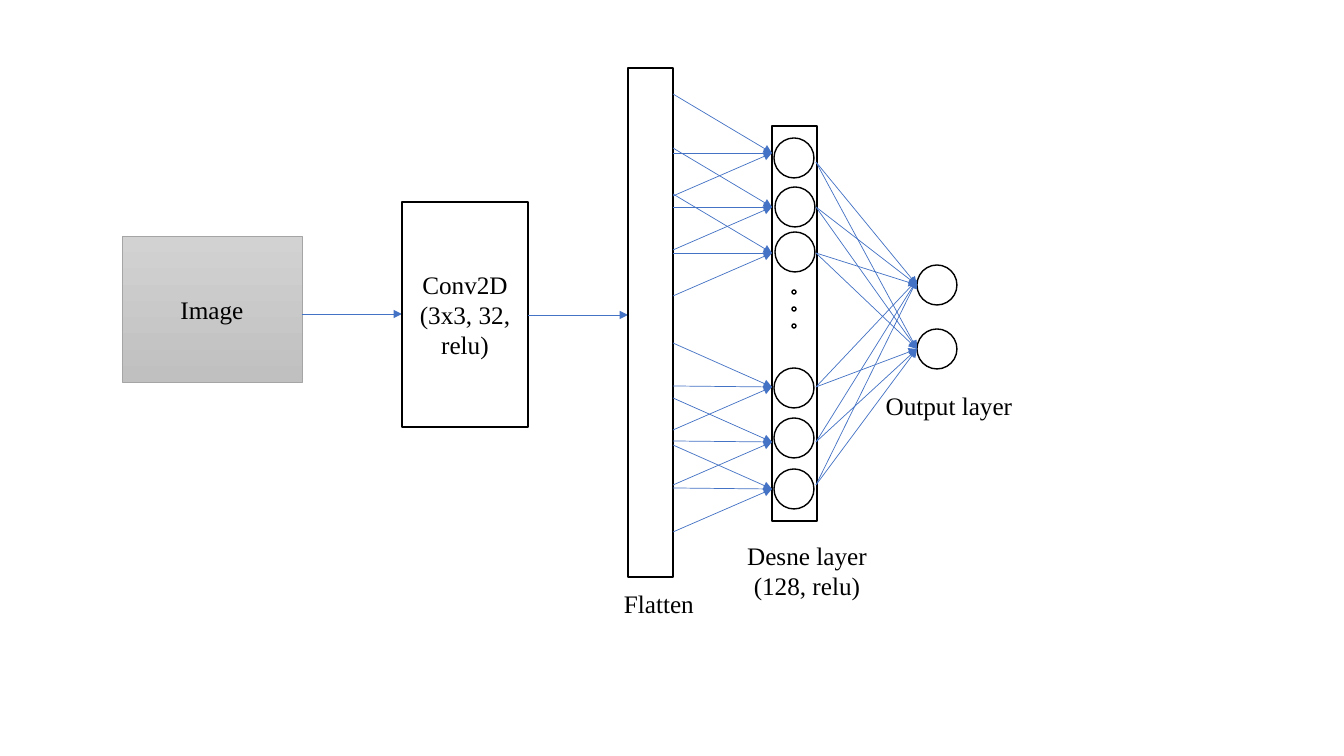
"""Build a slide that shows a small convolutional network, from image to output layer."""
from lxml import etree
from pptx import Presentation, util as u
from pptx.dml.color import RGBColor
from pptx.enum import shapes, text
from pptx.oxml.ns import qn

SCALE = 914400 / 100.8
BLACK = RGBColor(0x00, 0x00, 0x00)
WHITE = RGBColor(0xFF, 0xFF, 0xFF)
BLUE = RGBColor(0x44, 0x72, 0xC4)
GREY = RGBColor(0xA5, 0xA5, 0xA5)
GREY_TOP = RGBColor(0xD2, 0xD2, 0xD2)
GREY_BOTTOM = RGBColor(0xC0, 0xC0, 0xC0)
FONT = {"name": "Times New Roman", "size": u.Pt(18)}
RECT = shapes.MSO_SHAPE.RECTANGLE
OVAL = shapes.MSO_SHAPE.OVAL
CENTER = text.PP_ALIGN.CENTER
LEFT = text.PP_ALIGN.LEFT


def emu(*pixels):
    """Turn pixels into EMU."""
    return [u.Emu(round(value * SCALE)) for value in pixels]


def write(frame, lines, align=CENTER):
    """Write one paragraph per line."""
    frame.word_wrap = True
    for index, line in enumerate(lines):
        para = frame.paragraphs[0] if index == 0 else frame.add_paragraph()
        para.alignment = align
        span = para.add_run()
        span.text = line
        for key, value in FONT.items():
            setattr(span.font, key, value)
        span.font.color.rgb = BLACK


def add_node(page, kind, box, lines=()):
    """Add a white shape with a black outline."""
    node = page.shapes.add_shape(kind, *emu(*box))
    node.shadow.inherit = False
    node.fill.solid()
    node.fill.fore_color.rgb = WHITE
    node.line.color.rgb = BLACK
    node.line.width = u.Pt(1)
    node.text_frame.vertical_anchor = text.MSO_ANCHOR.MIDDLE
    write(node.text_frame, lines)
    return node


def add_label(page, box, lines, align=CENTER):
    """Add a caption."""
    label = page.shapes.add_textbox(*emu(*box))
    write(label.text_frame, lines, align)


def add_arrow(page, start, end):
    """Add a thin blue arrow."""
    arrow = page.shapes.add_connector(shapes.MSO_CONNECTOR.STRAIGHT, *emu(*start, *end))
    arrow.line.color.rgb = BLUE
    arrow.line.width = u.Pt(0.5)
    etree.SubElement(arrow.line._get_or_add_ln(), qn("a:tailEnd"), type="triangle")
    etree.SubElement(arrow._element.spPr, qn("a:effectLst"))


def draw_image(page, box):
    """Draw the grey input block and its arrow."""
    left, top, width, height = box
    block = add_node(page, RECT, box, ["Image"])
    block.fill.gradient()
    block.fill.gradient_angle = 270
    for stop, colour in zip(block.fill.gradient_stops, (GREY_TOP, GREY_BOTTOM)):
        stop.color.rgb = colour
    block.line.color.rgb = GREY
    block.line.width = u.Pt(0.5)
    add_arrow(page, (left + width, top + 78), (left + width + 100, top + 78))


def draw_convolution(page, box):
    """Draw the convolution block and its arrow."""
    left, top, width, height = box
    add_node(page, RECT, box, ["Conv2D", "(3x3, 32, relu)"])
    add_arrow(page, (left + width, top + 113), (left + width + 100, top + 113))


def draw_flatten(page, box):
    """Draw the flatten bar and its caption."""
    left, top, width, height = box
    add_node(page, RECT, box)
    add_label(page, (left - 14, top + height + 6, 100, 40), ["Flatten"], LEFT)


def draw_dense(page, box):
    """Draw the dense bar, its neurons and the arrows that reach them."""
    left, top, width, height = box
    add_node(page, RECT, box)
    add_label(page, (left - 36, top + height + 14, 142, 72), ["Desne layer", "(128, relu)"])
    for x, y in ((2, 12), (3, 61), (3, 106), (2, 242), (2, 292), (2, 343)):
        add_node(page, OVAL, (left + x, top + y, 40, 40))
    for step in range(3):
        add_node(page, OVAL, (left + 20, top + 164 + 17 * step, 4, 4))
    for targets, spread in (((27, 81, 127), (-59, 0, 43)), ((261, 316, 363), (-44, -1, 43))):
        for target in targets:
            for offset in spread:
                add_arrow(page, (left - 99, top + target + offset), (left, top + target))


def draw_output(page, box):
    """Draw the output neurons, their caption and the arrows that reach them."""
    left, top, width, height = box
    add_label(page, (left - 64, top + height + 16, 192, 40), ["Output layer"])
    for y in (0, height - width):
        add_node(page, OVAL, (left, top + y, width, width))
        for source in (-103, -58, -12, 122, 177, 220):
            lift = 5 if y == 0 and source > 0 else 0
            add_arrow(page, (left - 101, top + source), (left, top + y + 20 - lift))


def main():
    """Build and save the deck."""
    deck = Presentation()
    deck.slide_width, deck.slide_height = emu(1344, 756)
    page = deck.slides.add_slide(deck.slide_layouts[6])
    draw_image(page, (122, 236, 180, 146))
    draw_convolution(page, (402, 202, 126, 225))
    draw_flatten(page, (628, 68, 45, 509))
    draw_dense(page, (772, 126, 45, 395))
    draw_output(page, (917, 265, 40, 104))
    deck.save("out.pptx")


main()
